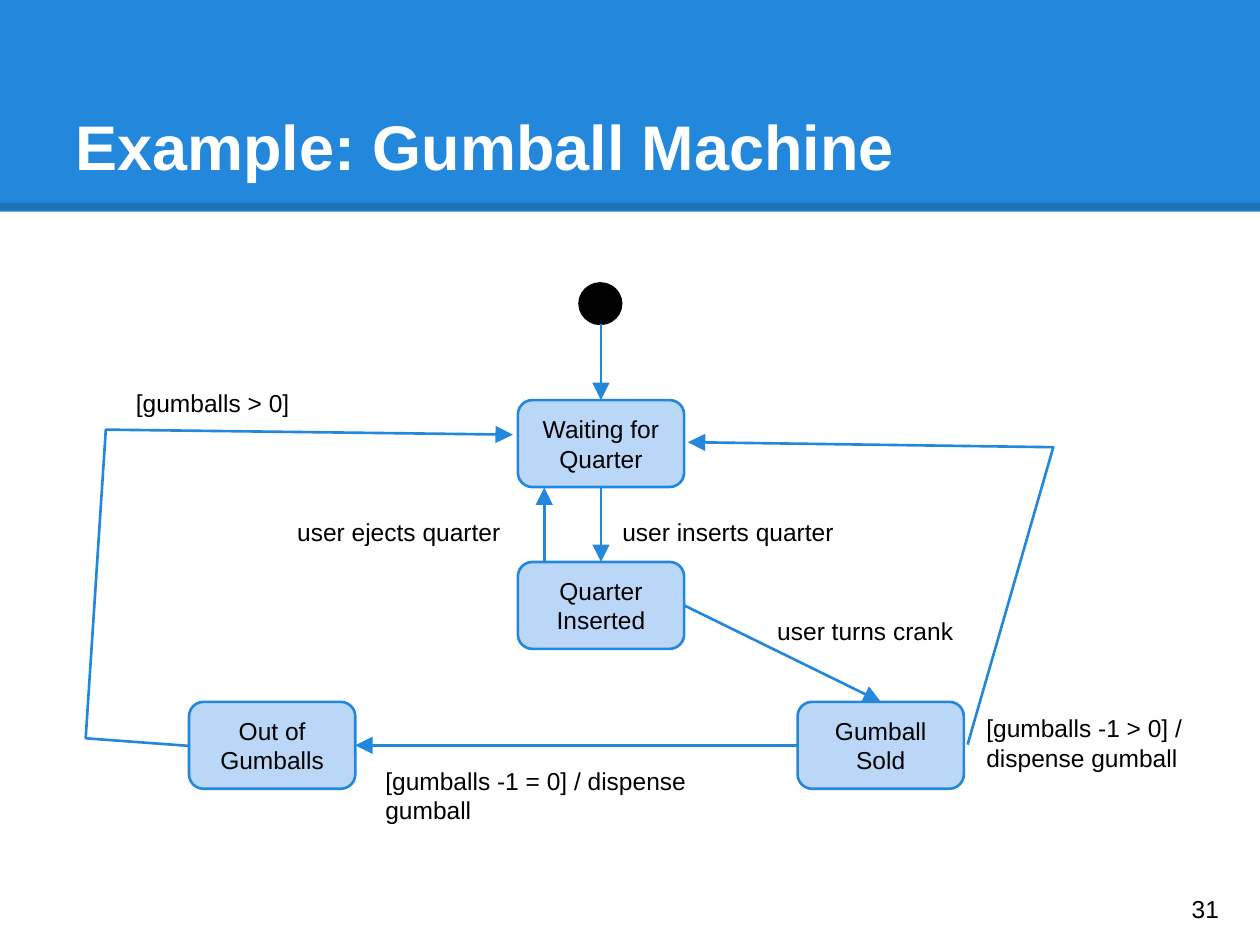
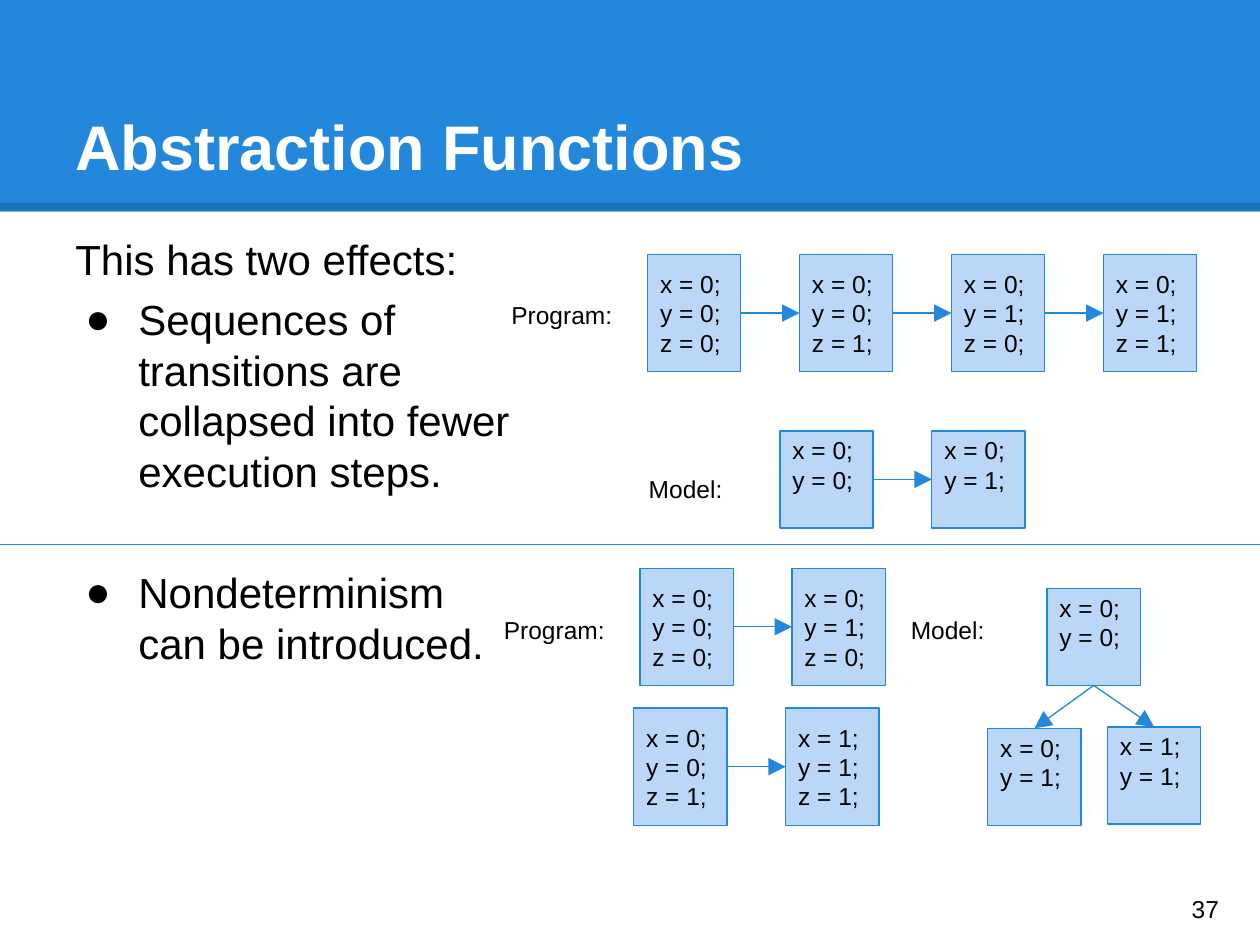
from lxml.etree import SubElement
from pptx import Presentation
from pptx.dml.color import RGBColor
from pptx.enum.shapes import MSO_CONNECTOR as Link, MSO_SHAPE as Kind
from pptx.enum.text import MSO_ANCHOR as Anchor, PP_ALIGN as Align
from pptx.oxml.ns import qn
from pptx.util import Inches, Pt

BLUE = RGBColor(0x23, 0x88, 0xDB)
PALE = RGBColor(0xBB, 0xD7, 0xF8)
BLACK = RGBColor(0, 0, 0)
WHITE = RGBColor(255, 255, 255)

WIDTH, HEIGHT = Inches(10), Inches(7.5)
COLS = 100
INSET = 1
TOP, LEFT, BASE, RIGHT = range(4)
PLAIN = {"name": "Arial", "size": Pt(14), "bold": False}
HEAD = {**PLAIN, "size": Pt(36), "bold": True}
BODY = {**PLAIN, "size": Pt(24)}
STATE = (13.2, 6.9)
NODE_W, FULL_H, MODEL_H = 7.4, 9.3, 7.7
STEP = 12.06


def grid(*cells):
    return [round(n * WIDTH / COLS) for n in cells]


def write(shape, lines, style=PLAIN, color=BLACK, align=Align.LEFT,
          anchor=Anchor.TOP, top=INSET):
    frame = shape.text_frame
    pad, = grid(INSET)
    form = {"word_wrap": True, "vertical_anchor": anchor, "margin_left": pad,
            "margin_right": pad, "margin_top": grid(top)[0], "margin_bottom": pad}
    for key, value in form.items():
        setattr(frame, key, value)
    for i, line in enumerate(lines):
        par = frame.paragraphs[0] if i == 0 else frame.add_paragraph()
        par.alignment = align
        run = par.add_run()
        run.text = line
        for key, value in style.items():
            setattr(run.font, key, value)
        run.font.color.rgb = color
    return frame


def label(slide, x, y, w, h, *lines, **form):
    return write(slide.shapes.add_textbox(*grid(x, y, w, h)), lines, **form)


def block(slide, kind, x, y, w, h, fill=PALE, edge=BLUE, thick=1.5):
    shape = slide.shapes.add_shape(kind, *grid(x, y, w, h))
    shape.shadow.inherit = False
    shape.fill.solid()
    shape.fill.fore_color.rgb = fill
    if edge is None:
        shape.line.fill.background()
    else:
        stroke(shape, edge, thick)
    return shape


def stroke(shape, color, thick, tip=False):
    shape.line.color.rgb = color
    shape.line.width = Pt(thick)
    if tip:
        line = shape.element.spPr.find(qn("a:ln"))
        SubElement(line, qn("a:tailEnd"), type="triangle", w="lg", len="lg")


def line(slide, start, end, color=BLUE, thick=1.5, tip=True):
    link = slide.shapes.add_connector(Link.STRAIGHT, *grid(*start, *end))
    stroke(link, color, thick, tip)
    SubElement(link.element.spPr, qn("a:effectLst"))
    return link


def join(slide, one, side, two, goal, thick=1.5):
    link = line(slide, (0, 0), (0, 0), thick=thick)
    link.begin_connect(one, side)
    link.end_connect(two, goal)


def route(slide, *points):
    start, *rest = [grid(*p) for p in points]
    pen = slide.shapes.build_freeform(*start)
    pen.add_line_segments(rest, close=False)
    shape = pen.convert_to_shape()
    shape.shadow.inherit = False
    shape.fill.background()
    stroke(shape, BLUE, 1.5, tip=True)


def state(slide, x, y, text):
    shape = block(slide, Kind.ROUNDED_RECTANGLE, x, y, *STATE)
    write(shape, [text], align=Align.CENTER, anchor=Anchor.MIDDLE)
    return shape


def node(slide, x, y, values):
    full = len(values) == 3
    shape = block(slide, Kind.RECTANGLE, x, y, NODE_W,
                  FULL_H if full else MODEL_H, thick=0.75)
    write(shape, [f"{name} = {n};" for name, n in zip("xyz", values)],
          anchor=Anchor.MIDDLE if full else Anchor.TOP,
          top=INSET if full else 0.35)
    return shape


def chain(slide, x, y, *steps):
    nodes = [node(slide, x + i * STEP, y, v) for i, v in enumerate(steps)]
    for one, two in zip(nodes, nodes[1:]):
        join(slide, one, RIGHT, two, LEFT, thick=0.75)


def bullet(par, before):
    par.space_before = Pt(before)
    props = par._p.get_or_add_pPr()
    props.set("marL", str(Inches(0.5)))
    props.set("indent", str(-Inches(0.42)))
    tint = SubElement(props, qn("a:buClr"))
    SubElement(tint, qn("a:srgbClr"), val=str(BLACK))
    SubElement(props, qn("a:buFont"), typeface="Arial")
    SubElement(props, qn("a:buChar"), char="●")


def start(deck, title, number):
    slide = deck.slides.add_slide(deck.slide_layouts[6])
    block(slide, Kind.RECTANGLE, 0, 0, COLS, 16.8, fill=BLUE, edge=None)
    rule = line(slide, (0, 16.4), (COLS, 16.4), BLACK, 4.5, tip=False)
    tint = rule.element.spPr.find(".//" + qn("a:srgbClr"))
    SubElement(tint, qn("a:alpha"), val="15000")
    label(slide, 5, 3, 90, 12.5, title, style=HEAD, color=WHITE,
          anchor=Anchor.BOTTOM)
    label(slide, 93.6, 69.3, 6, 5.7, number, anchor=Anchor.MIDDLE)
    return slide


def machine(deck):
    slide = start(deck, "Example: Gumball Machine", "31")
    wait = state(slide, 41.1, 31.75, "Waiting for Quarter")
    held = state(slide, 41.1, 44.6, "Quarter Inserted")
    sold = state(slide, 63.3, 55.7, "Gumball Sold")
    out = state(slide, 15, 55.7, "Out of Gumballs")
    block(slide, Kind.OVAL, 46, 22.5, 3.3, 3.2, fill=BLACK, edge=BLACK)
    line(slide, (47.7, 25.7), (47.7, 31.7)).end_connect(wait, TOP)
    join(slide, wait, BASE, held, TOP)
    line(slide, (43.2, 44.6), (43.2, 38.7))
    join(slide, held, RIGHT, sold, TOP)
    join(slide, sold, LEFT, out, RIGHT)
    route(slide, (76.8, 59.1), (83.6, 35.5), (54.6, 35.1))
    route(slide, (15, 59.2), (6.8, 58.6), (8.4, 34.1), (40.7, 34.5))
    for x, y, w, text in [
        (48.4, 40, 30.8, "user inserts quarter"),
        (22.6, 40, 18.5, "user ejects quarter"),
        (60.7, 47.9, 18.5, "user turns crank"),
        (9.8, 29.8, 22.5, "[gumballs > 0]"),
        (77.3, 55.6, 17.6, "[gumballs -1 > 0] / dispense gumball"),
        (29.6, 59.8, 32.3, "[gumballs -1 = 0] / dispense gumball"),
    ]:
        label(slide, x, y, w, 3.2, text)


def effects(deck):
    slide = start(deck, "Abstraction Functions", "37")
    body = label(slide, 5, 17.5, 36.7, 54.3, "This has two effects:",
                 "Sequences of transitions are collapsed into fewer execution steps.",
                 "Nondeterminism can be introduced.", style=BODY)
    for par, before in zip(body.paragraphs[1:], (6, 40.7)):
        bullet(par, before)
    line(slide, (0, 43.2), (COLS, 43.2), thick=0.75, tip=False)
    chain(slide, 51.4, 20.2, "000", "001", "010", "011")
    chain(slide, 61.9, 34.2, "00", "01")
    chain(slide, 50.8, 45.1, "000", "010")
    chain(slide, 50.3, 56.2, "001", "111")
    root = node(slide, 83.1, 46.7, "00")
    for x, y, values in [(78.4, 57.8, "01"), (87.9, 57.7, "11")]:
        join(slide, root, BASE, node(slide, x, y, values), TOP, thick=0.75)
    for x, y, text in [(39.6, 22.8, "Program:"), (50.5, 36.6, "Model:"),
                       (39, 47.8, "Program:"), (71.3, 47.8, "Model:")]:
        label(slide, x, y, 10.8, 2.8, text)


def main():
    deck = Presentation()
    deck.slide_width, deck.slide_height = WIDTH, HEIGHT
    machine(deck)
    effects(deck)
    deck.save("out.pptx")


if __name__ == "__main__":
    main()
